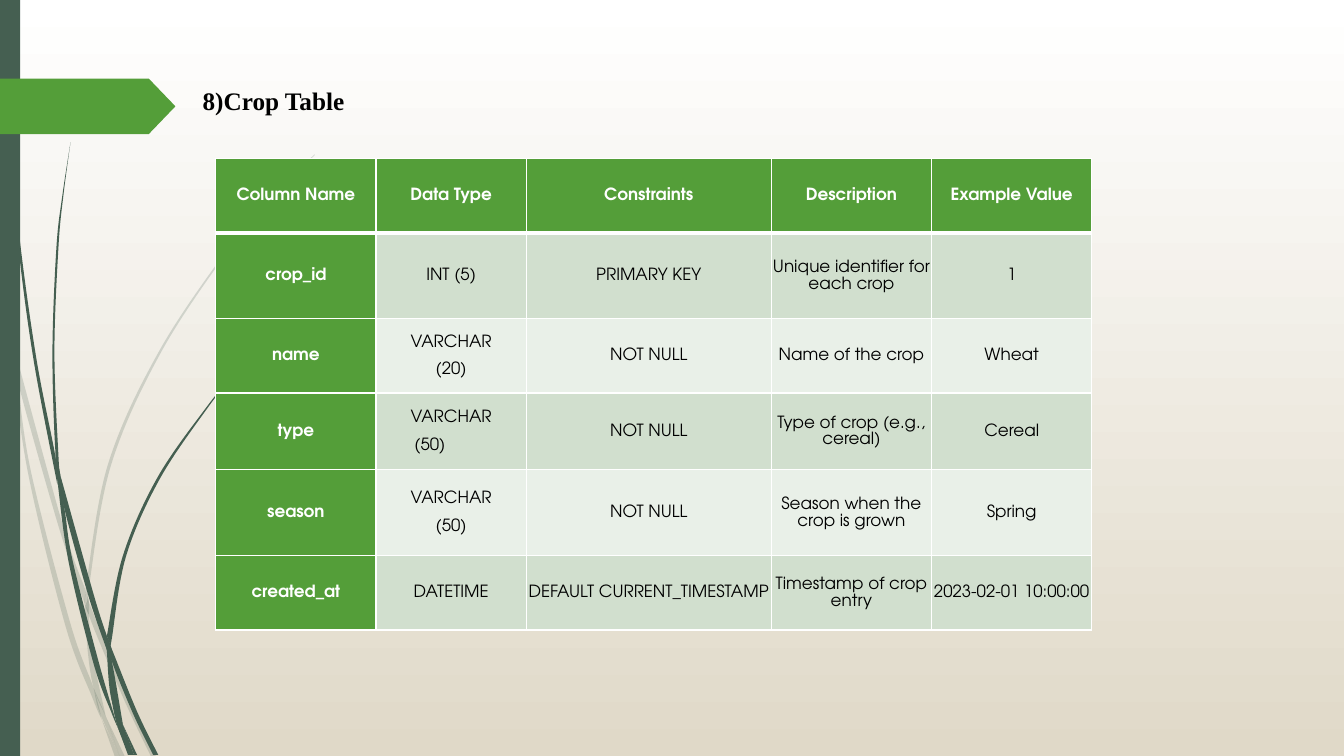
from lxml import etree
from pptx import Presentation
from pptx.dml.color import RGBColor
from pptx.enum.shapes import MSO_SHAPE
from pptx.enum.text import MSO_ANCHOR, PP_ALIGN
from pptx.oxml.ns import qn
from pptx.util import Emu, Inches, Pt

# Content
TITLE = "8)Crop Table"
ROWS = [
    ("Column Name", "Data Type", "Constraints", "Description", "Example Value"),
    ("crop_id", "INT (5)", "PRIMARY KEY", "Unique identifier for each crop", "1"),
    ("name", "VARCHAR\n(20)", "NOT NULL", "Name of the crop", "Wheat"),
    ("type", "VARCHAR\n(50)", "NOT NULL", "Type of crop (e.g., cereal)", "Cereal"),
    ("season", "VARCHAR\n(50)", "NOT NULL", "Season when the crop is grown", "Spring"),
    ("created_at", "DATETIME", "DEFAULT CURRENT_TIMESTAMP",
     "Timestamp of crop entry", "2023-02-01 10:00:00"),
]
COLUMN_WIDTHS = (1.59, 1.49, 2.43, 1.59, 1.59)
ROW_HEIGHTS = (0.74, 0.85, 0.74, 0.76, 0.85, 0.74)
INDENTED_CELL = (3, 1)  # its second line is left aligned

# Grass blade pieces: left edge and right edge, each from top to bottom
PALE_BLADES = [
    ([(0, 2.99), (0.1, 3.44), (0.11, 3.5)], [(0, 2.82), (0.09, 3.22), (0.11, 3.5)]),
    ([(0.14, 3.45), (0.17, 3.76), (0.58, 5.22), (0.84, 5.99)],
     [(0.14, 3.45), (0.62, 5.2), (0.85, 5.86)]),
    ([(0.88, 5.96), (0.88, 6.1), (1.23, 6.94), (1.5, 7.51)],
     [(0.88, 5.96), (0.92, 6.07), (1.27, 6.92), (1.55, 7.51)]),
    ([(1.05, 7.11), (1.19, 7.51)], [(1.05, 7.11), (1.24, 7.51)]),
    ([(0.11, 3.5), (0.28, 4.7), (0.65, 6.21), (0.92, 6.93), (1.01, 7.14)],
     [(0.11, 3.5), (0.17, 3.76), (0.31, 4.69), (0.7, 6.19), (0.93, 6.83), (1.01, 7.14)]),
    ([(0.84, 5.99), (0.87, 6.46), (0.93, 6.83), (1.05, 7.11)],
     [(0.84, 5.99), (0.88, 6.1), (0.91, 6.46), (1.05, 7.11)]),
    ([(3.12, 1.53), (2.68, 1.97), (2.28, 2.44), (1.58, 3.48), (1.07, 4.61), (0.85, 5.84)],
     [(3.12, 1.54), (2.68, 1.98), (2.29, 2.45), (1.6, 3.49), (1.1, 4.62), (0.88, 5.84),
      (0.88, 5.96)]),
    ([(1.01, 7.14), (1.14, 7.51)], [(1.01, 7.14), (1.19, 7.51)]),
    ([(0.85, 5.86), (0.84, 5.99), (0.88, 6.1)], [(0.85, 5.86), (0.88, 5.96), (0.88, 6.1)]),
    ([(0.93, 6.83), (0.99, 7.07), (1.19, 7.51)], [(0.93, 6.83), (1.05, 7.11), (1.19, 7.51)]),
]
DARK_BLADES = [
    ([(0.03, 0), (0.04, 0.48), (0.07, 1.1), (0.17, 2.33), (0.33, 3.55), (0.57, 4.81)],
     [(0.04, 0), (0.05, 0.48), (0.08, 1.09), (0.19, 2.32), (0.36, 3.55), (0.55, 4.53),
      (0.57, 4.81)]),
    ([(0.6, 4.72), (0.64, 5.05), (0.88, 5.92), (1.06, 6.45)],
     [(0.6, 4.72), (0.93, 5.9), (1.06, 6.31)]),
    ([(1.1, 6.41), (1.11, 6.56), (1.32, 7.08), (1.52, 7.49)],
     [(1.1, 6.41), (1.13, 6.49), (1.36, 7.06), (1.57, 7.49)]),
    ([(0.57, 4.77), (0.68, 5.57), (0.93, 6.59), (1.11, 7.08), (1.17, 7.22)],
     [(0.57, 4.77), (0.64, 5.05), (0.72, 5.56), (0.98, 6.57), (1.17, 7.22)]),
    ([(0.7, 1.41), (0.62, 1.93), (0.56, 2.45), (0.52, 3.49), (0.55, 4.49), (0.6, 4.72)],
     [(0.7, 1.41), (0.63, 1.93), (0.58, 2.45), (0.54, 3.49), (0.58, 4.53), (0.6, 4.72)]),
    ([(1.22, 7.19), (1.33, 7.49)], [(1.22, 7.19), (1.36, 7.49)]),
    ([(0.55, 4.49), (0.57, 4.77), (0.64, 5.05)], [(0.55, 4.49), (0.6, 4.72), (0.64, 5.05)]),
    ([(2.6, 3.44), (2.31, 3.73), (2.04, 4.05), (1.56, 4.74), (1.22, 5.51), (1.06, 6.31)],
     [(2.61, 3.44), (2.31, 3.74), (2.05, 4.06), (1.58, 4.76), (1.25, 5.52), (1.11, 6.33),
      (1.1, 6.41)]),
    ([(1.17, 7.22), (1.27, 7.49)], [(1.17, 7.22), (1.31, 7.49)]),
    ([(1.06, 6.45), (1.1, 6.91), (1.22, 7.19)], [(1.06, 6.45), (1.11, 6.56), (1.22, 7.19)]),
    ([(1.06, 6.31), (1.06, 6.45), (1.11, 6.56)], [(1.06, 6.31), (1.1, 6.41), (1.11, 6.56)]),
    ([(1.1, 6.91), (1.17, 7.22), (1.3, 7.49)], [(1.1, 6.91), (1.22, 7.19), (1.33, 7.49)]),
]

# Colours and fonts
WHITE, BLACK = RGBColor(0xFF, 0xFF, 0xFF), RGBColor(0, 0, 0)
SAND = RGBColor(0xE0, 0xD9, 0xC8)
GREEN = RGBColor(0x54, 0x9E, 0x39)
FOREST = RGBColor(0x45, 0x5F, 0x51)
BANDS = (RGBColor(0xE9, 0xF0, 0xE8), RGBColor(0xD1, 0xDF, 0xCE))
TITLE_FONT, TABLE_FONT = "Times New Roman", "TeX Gyre Adventor"


def paint(shape, color, opacity=100):
    shape.shadow.inherit = False
    shape.line.fill.background()
    shape.fill.solid()
    shape.fill.fore_color.rgb = color
    if opacity < 100:
        color_node = shape._element.spPr.find(qn("a:solidFill"))[0]
        etree.SubElement(color_node, qn("a:alpha"), val=str(opacity * 1000))


def curve_points(points):
    """Two handles and an end for each span of a smooth curve."""
    padded = [points[0], *points, points[-1]]
    curve = []
    for a, b, c, d in zip(padded, padded[1:], padded[2:], padded[3:]):
        curve += [tuple(q + (r - p) / 6 for p, q, r in zip(a, b, c)),
                  tuple(r - (s - q) / 6 for q, r, s in zip(b, c, d)), c]
    return curve


def add_blade(shapes, left_edge, right_edge, opacity):
    bottom = [left_edge[-1], right_edge[-1], right_edge[-1]]
    outline = [left_edge[0], *curve_points(left_edge), *bottom, *curve_points(right_edge[::-1])]
    outline = [(Inches(x), Inches(y)) for x, y in outline]
    builder = shapes.build_freeform(*outline[0])
    builder.add_line_segments(outline[1:], close=True)
    blade = builder.convert_to_shape()
    # Each three points become one curve
    lines = list(blade._element.iter(qn("a:lnTo")))[:len(outline) - 1]
    for start in range(0, len(lines), 3):
        curve = etree.Element(qn("a:cubicBezTo"))
        lines[start].addprevious(curve)
        for line in lines[start:start + 3]:
            curve.append(line[0])
            line.getparent().remove(line)
    paint(blade, FOREST, opacity)


def add_text(paragraph, text, font_name, size, color, bold):
    run = paragraph.add_run()
    run.text = text
    run.font.name, run.font.size, run.font.bold = font_name, Pt(size), bold
    run.font.color.rgb = color


def set_borders(cell, bottom_width):
    properties = cell._tc.get_or_add_tcPr()
    for side in "LRTB":
        width = bottom_width if side == "B" else 1
        line = etree.SubElement(properties, qn(f"a:ln{side}"), w=str(Pt(width)))
        fill = etree.SubElement(line, qn("a:solidFill"))
        etree.SubElement(fill, qn("a:srgbClr"), val=str(WHITE))


def fill_cell(cell, text, row, column):
    heading = row == 0 or column == 0
    set_borders(cell, 3 if row == 0 else 1)
    cell.fill.solid()
    cell.fill.fore_color.rgb = GREEN if heading else BANDS[row % 2]
    cell.vertical_anchor = MSO_ANCHOR.MIDDLE
    cell.margin_left = cell.margin_right = Inches(0.01)
    cell.margin_top = cell.margin_bottom = Inches(0.01)
    frame = cell.text_frame
    for number, line in enumerate(text.split("\n")):
        paragraph = frame.add_paragraph() if number else frame.paragraphs[0]
        paragraph.alignment = PP_ALIGN.CENTER
        paragraph.line_spacing, paragraph.space_after = 1.07, Pt(8)
        if number and (row, column) == INDENTED_CELL:
            paragraph.alignment = PP_ALIGN.LEFT
            paragraph._p.get_or_add_pPr().set("marL", str(Inches(0.37)))
        add_text(paragraph, line, TABLE_FONT, 12, WHITE if heading else BLACK, heading)


def main():
    presentation = Presentation()
    presentation.slide_width, presentation.slide_height = Inches(13.33), Inches(7.5)
    slide = presentation.slides.add_slide(presentation.slide_layouts[5])
    shapes = slide.shapes
    # Background fading downwards
    background = slide.background.fill
    background.gradient()
    background.gradient_angle = 270
    for stop, color, position in zip(background.gradient_stops, (WHITE, SAND), (0, 1)):
        stop.color.rgb, stop.position = color, position
    # Grass, side bar and arrow
    for blades, opacity in ((PALE_BLADES, 20), (DARK_BLADES, 100)):
        for left_edge, right_edge in blades:
            add_blade(shapes, left_edge, right_edge, opacity)
    side_bar = shapes.add_shape(MSO_SHAPE.RECTANGLE, 0, 0, Inches(0.2), presentation.slide_height)
    paint(side_bar, FOREST)
    arrow = shapes.add_shape(MSO_SHAPE.PENTAGON, 0, Inches(0.78), Inches(1.74), Inches(0.55))
    arrow.adjustments[0] = 0.48
    paint(arrow, GREEN)
    # Title
    title = shapes.title
    title.left, title.top = Inches(1.91), Inches(0.78)
    title.width, title.height = Inches(6.67), Inches(0.4)
    title.text_frame.word_wrap = True
    title.text_frame.vertical_anchor = MSO_ANCHOR.TOP
    paragraph = title.text_frame.paragraphs[0]
    paragraph.alignment = PP_ALIGN.JUSTIFY
    paragraph.line_spacing, paragraph.space_after = 1.05, Pt(10)
    add_text(paragraph, TITLE, TITLE_FONT, 18, BLACK, True)
    # Table
    table = shapes.add_table(
        len(ROWS), len(COLUMN_WIDTHS), Inches(2.14), Inches(1.57),
        Emu(sum(map(Inches, COLUMN_WIDTHS))), Emu(sum(map(Inches, ROW_HEIGHTS)))).table
    table.first_col = True
    for column, width in zip(table.columns, COLUMN_WIDTHS):
        column.width = Inches(width)
    for row, height in zip(table.rows, ROW_HEIGHTS):
        row.height = Inches(height)
    for row, texts in enumerate(ROWS):
        for column, text in enumerate(texts):
            fill_cell(table.cell(row, column), text, row, column)
    presentation.save("out.pptx")


if __name__ == "__main__":
    main()
